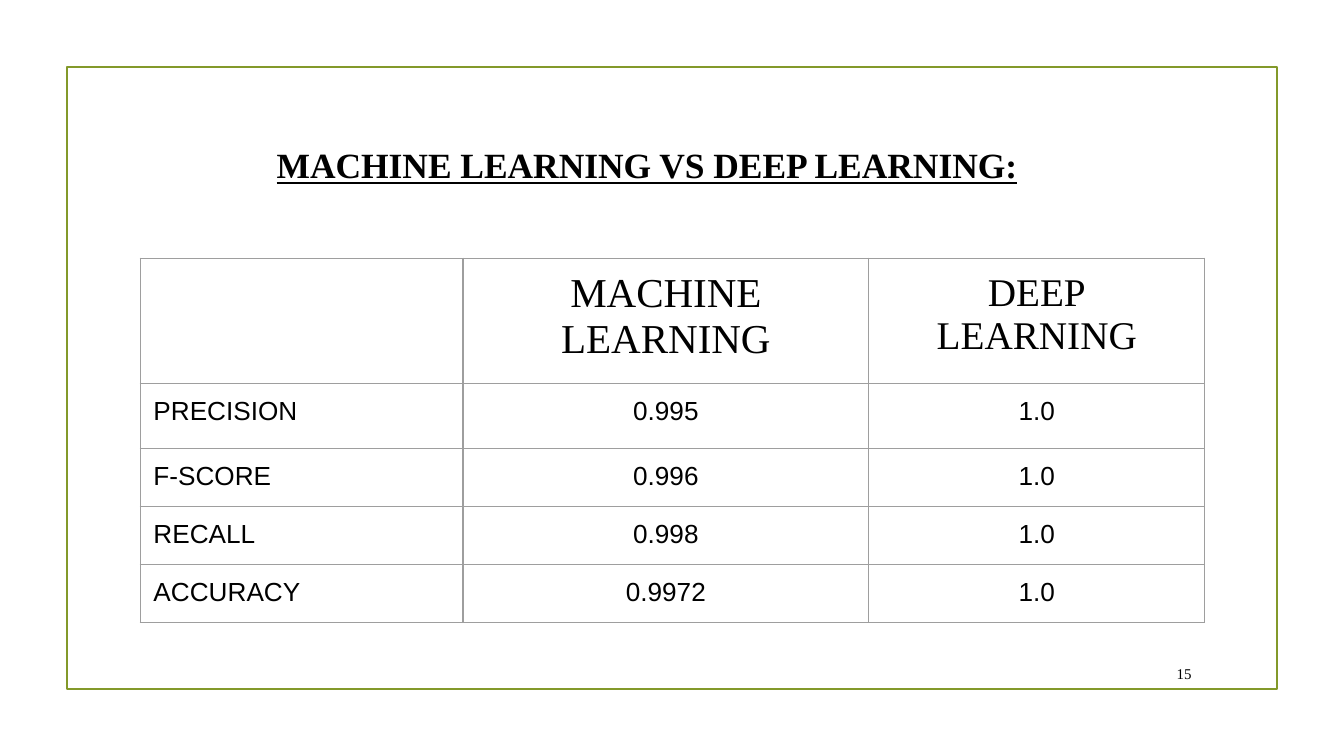
from lxml.etree import fromstring
from pptx import Presentation
from pptx.dml.color import RGBColor
from pptx.enum.shapes import MSO_SHAPE
from pptx.enum.text import MSO_ANCHOR as ANCHOR, PP_ALIGN as ALIGN
from pptx.util import Cm, Pt

COLORS = {"frame": "83992A", "grid": "9E9E9E", "text": "000000", "cell": "FFFFFF"}
SERIF, SANS = "Times New Roman", "Arial"
NS = "http://schemas.openxmlformats.org/drawingml/2006/main"

HEADERS = ["", "MACHINE LEARNING", "DEEP\nLEARNING"]
HEADER_SIZES = [18, 22, 21]
ROWS = [
    ("PRECISION", "0.995", "1.0"),
    ("F-SCORE", "0.996", "1.0"),
    ("RECALL", "0.998", "1.0"),
    ("ACCURACY", "0.9972", "1.0"),
]
COL_WIDTHS = [6.1, 7.67, 6.35]
ROW_HEIGHTS = [2.36, 1.23, 1.1, 1.1, 1.1]


def color(name):
    return RGBColor.from_string(COLORS[name])


def place(sp, box):
    sp.left, sp.top, sp.width, sp.height = (Cm(v) for v in box)


def write(tf, text, font, size, align):
    tf.text = text
    for p in tf.paragraphs:
        p.alignment = align
        p.font.name, p.font.size = font, Pt(size)
        p.font.color.rgb = color("text")


def set_margins(target, x, y):
    target.margin_left = target.margin_right = Cm(x)
    target.margin_top = target.margin_bottom = Cm(y)


def add_frame(s, box):
    sp = s.shapes.add_shape(MSO_SHAPE.RECTANGLE, *(Cm(v) for v in box))
    sp.shadow.inherit = False
    sp.fill.background()
    sp.line.color.rgb = color("frame")
    sp.line.width = Pt(1.25)


def add_title(s, box, text):
    sp = s.shapes.title
    place(sp, box)
    tf = sp.text_frame
    tf.word_wrap = True
    tf.vertical_anchor = ANCHOR.TOP
    set_margins(tf, 0.25, 0.25)
    write(tf, text, SERIF, 19, ALIGN.LEFT)
    font = tf.paragraphs[0].font
    font.bold = font.underline = True


def add_borders(cell):
    tc_pr = cell._tc.get_or_add_tcPr()
    for i, side in enumerate("LRTB"):
        tc_pr.insert(i, fromstring(
            f'<a:ln{side} xmlns:a="{NS}" w="{Pt(0.75)}"><a:solidFill>'
            f'<a:srgbClr val="{COLORS["grid"]}"/></a:solidFill></a:ln{side}>'))


def add_scores(s, box):
    data = [HEADERS, *ROWS]
    table = s.shapes.add_table(len(data), len(HEADERS), *(Cm(v) for v in box)).table
    table.first_row = table.horz_banding = False
    for col, width in zip(table.columns, COL_WIDTHS):
        col.width = Cm(width)
    for row, height in zip(table.rows, ROW_HEIGHTS):
        row.height = Cm(height)
    for i, values in enumerate(data):
        for j, text in enumerate(values):
            cell = table.cell(i, j)
            font, size = (SANS, 14) if i else (SERIF, HEADER_SIZES[j])
            write(cell.text_frame, text, font, size, ALIGN.CENTER if j else ALIGN.LEFT)
            set_margins(cell, 0.25, 0.25)
            cell.fill.solid()
            cell.fill.fore_color.rgb = color("cell")
            add_borders(cell)


def add_page_number(s, box, number):
    tf = s.shapes.add_textbox(*(Cm(v) for v in box)).text_frame
    tf.word_wrap = True
    tf.vertical_anchor = ANCHOR.MIDDLE
    set_margins(tf, 0.18, 0.1)
    write(tf, number, SERIF, 8, ALIGN.RIGHT)


def main():
    prs = Presentation()
    prs.slide_width, prs.slide_height = Cm(25.4), Cm(14.29)
    s = prs.slides.add_slide(prs.slide_layouts[5])

    # Frame and page number
    add_frame(s, (1.27, 1.27, 22.86, 11.75))
    add_page_number(s, (21.56, 12.45, 1.14, 0.58), "15")

    # Title and score table
    add_title(s, (4.98, 2.46, 14.88, 1.32), "MACHINE LEARNING VS DEEP LEARNING:")
    add_scores(s, (2.65, 4.88, sum(COL_WIDTHS), sum(ROW_HEIGHTS)))

    prs.save("out.pptx")


if __name__ == "__main__":
    main()
